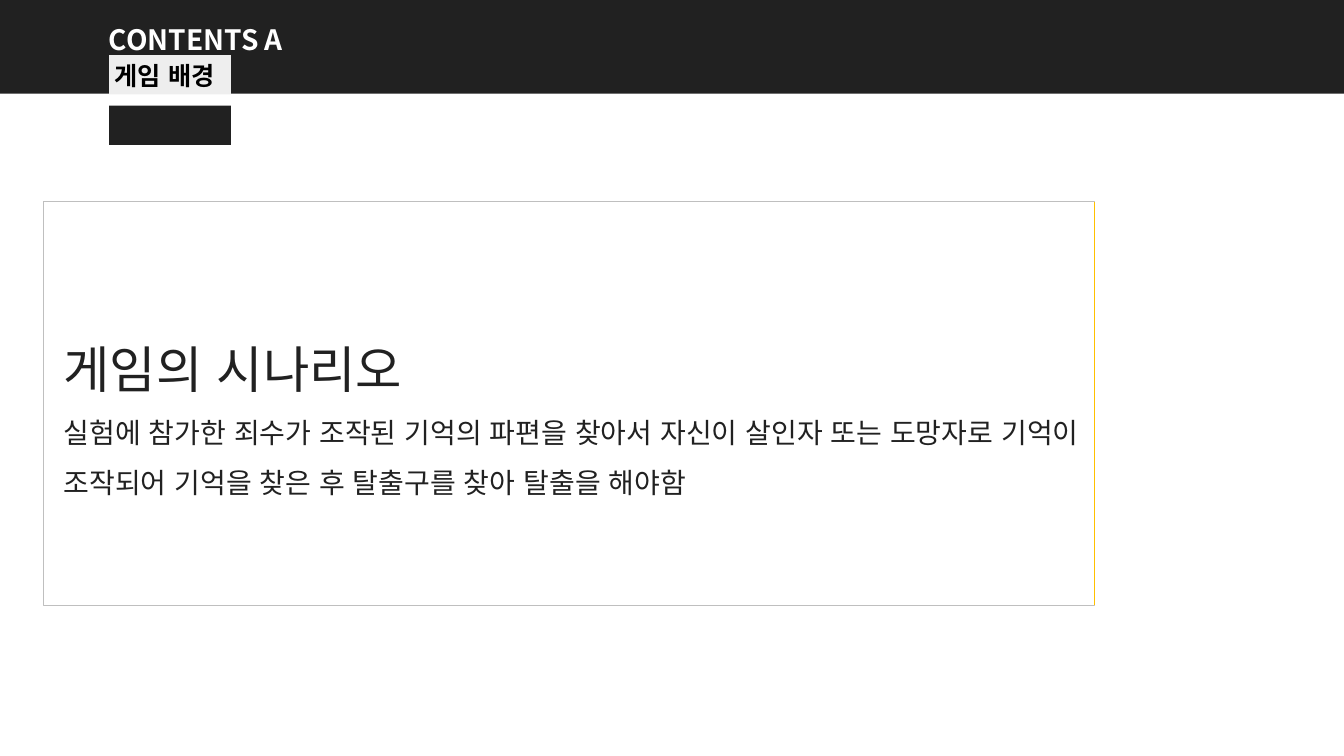
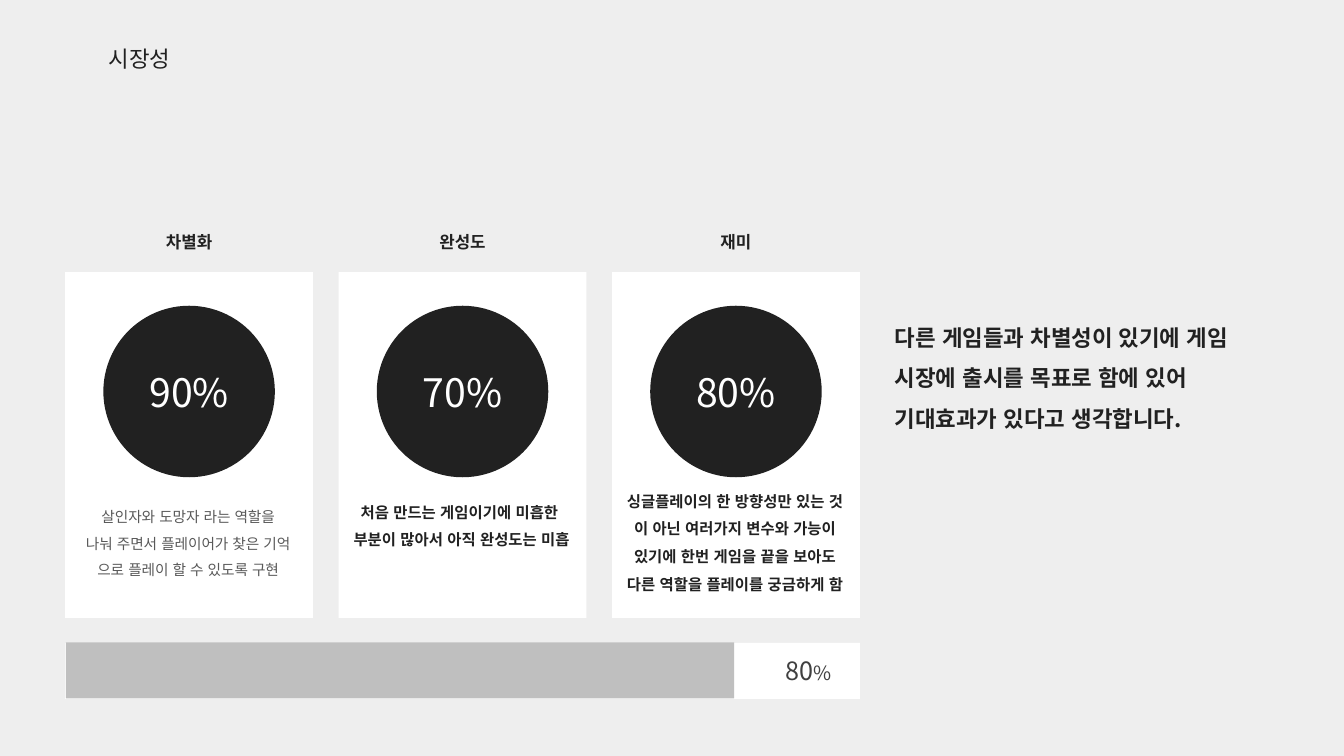
from lxml import etree
from pptx import Presentation
from pptx.dml import color
from pptx.enum import lang, shapes, text
from pptx.oxml import ns
from pptx.util import Pt

DARK, PALE, WHITE = "212121", "EEEEEE", "FFFFFF"
GREY, GOLD, INK, MUTED = "BFBFBF", "FFC000", "404040", "595959"
LEFT, CENTER, RIGHT = text.PP_ALIGN.LEFT, text.PP_ALIGN.CENTER, text.PP_ALIGN.RIGHT
TOP, MIDDLE = text.MSO_ANCHOR.TOP, text.MSO_ANCHOR.MIDDLE
RECT, OVAL = shapes.MSO_SHAPE.RECTANGLE, shapes.MSO_SHAPE.OVAL
TITLE_AND_BODY, TITLE_ONLY = 1, 5


def rgb(value):
    return color.RGBColor.from_string(value)


def assign(target, **values):
    for key, value in values.items():
        setattr(target, key, value)


class Deck:
    font = "Noto Sans CJK KR"
    insets = (7.2, 3.6, 7.2, 3.6)

    def __init__(self):
        self.file = Presentation()
        assign(self.file, slide_width=Pt(960), slide_height=Pt(540))
        self.slide = None

    def start(self, layout, background):
        self.slide = self.file.slides.add_slide(self.file.slide_layouts[layout])
        fill = self.slide.background.fill
        fill.solid()
        fill.fore_color.rgb = rgb(background)

    def place(self, item, box):
        left, top, width, height = map(Pt, box)
        assign(item, left=left, top=top, width=width, height=height)

    def paint(self, item, fill, line=None):
        item.fill.solid()
        item.fill.fore_color.rgb = rgb(fill)
        if line:
            item.line.color.rgb = rgb(line)
            item.line.width = Pt(1)
        else:
            item.line.fill.background()

    def typeset(self, item, paragraphs, size=11, ink=DARK, bold=False, align=LEFT,
                anchor=TOP, spacing=1.5, wrap=True, insets=insets):
        frame = item.text_frame
        left, top, right, bottom = map(Pt, insets)
        assign(frame, word_wrap=wrap, auto_size=text.MSO_AUTO_SIZE.NONE,
               vertical_anchor=anchor, margin_left=left, margin_top=top,
               margin_right=right, margin_bottom=bottom)
        for index, runs in enumerate(paragraphs):
            paragraph = frame.add_paragraph() if index else frame.paragraphs[0]
            assign(paragraph, alignment=align, line_spacing=spacing, space_before=Pt(0))
            for part in [runs] if isinstance(runs, str) else runs:
                words, points = (part, size) if isinstance(part, str) else part
                run = paragraph.add_run()
                run.text = words
                assign(run.font, size=Pt(points), bold=bold, name=self.font,
                       language_id=lang.MSO_LANGUAGE_ID.KOREAN)
                run.font.color.rgb = rgb(ink)
                asian = etree.SubElement(run.font._element, ns.qn("a:ea"))
                asian.set("typeface", self.font)

    def title(self, box, words, **style):
        heading = self.slide.shapes.title
        self.place(heading, box)
        self.typeset(heading, [words], **style)

    def body(self, box, paragraphs, fill, line, **style):
        panel = self.slide.placeholders[1]
        self.place(panel, box)
        self.paint(panel, fill, line)
        self.typeset(panel, paragraphs, **style)
        for paragraph in panel.text_frame.paragraphs:
            properties = paragraph._p.get_or_add_pPr()
            properties.set("marL", "0")
            properties.set("indent", "0")
            etree.SubElement(properties, ns.qn("a:buNone"))

    def shape(self, kind, box, fill, paragraphs=(), behind=False, **style):
        item = self.slide.shapes.add_shape(kind, *map(Pt, box))
        item.shadow.inherit = False
        self.paint(item, fill)
        if paragraphs:
            self.typeset(item, paragraphs, **style)
        if behind:
            self.slide.shapes._spTree.insert(2, item._element)

    def label(self, box, paragraphs, **style):
        self.typeset(self.slide.shapes.add_textbox(*map(Pt, box)), paragraphs, **style)

    def line(self, start, end, ink):
        edge = self.slide.shapes.add_connector(
            shapes.MSO_CONNECTOR.STRAIGHT, *map(Pt, start + end))
        edge.line.color.rgb = rgb(ink)
        edge.line.width = Pt(1)
        etree.SubElement(edge._element.spPr, ns.qn("a:effectLst"))


def build_background(deck):
    deck.start(TITLE_AND_BODY, WHITE)
    deck.shape(RECT, (0, 0, 960, 67), DARK, behind=True)
    deck.title((70.5, 0.5, 143, 44), "CONTENTS A",
               size=20, ink=WHITE, bold=True, wrap=False)
    deck.shape(RECT, (78, 39.5, 87, 28), PALE, ["게임 배경"], size=18, ink="000000",
               bold=True, spacing=1, anchor=MIDDLE, wrap=False,
               insets=(4, 3.6, 0, 2.4))
    deck.shape(RECT, (78, 75.5, 87, 28), DARK)
    left, top, width, height = scenario = (31, 144, 751, 288.5)
    deck.body(scenario, [
        [("게임의 시나리오", 36)],
        "실험에 참가한 죄수가 조작된 기억의 파편을 찾아서 자신이 살인자 또는 도망자로 "
        "기억이 조작되어 기억을 찾은 후 탈출구를 찾아 탈출을 해야함",
    ], WHITE, GREY, size=20, anchor=MIDDLE, insets=(14.4, 3.6, 7.2, 3.6))
    right = left + width
    deck.line((right, top), (right, top + height), GOLD)


def build_market(deck):
    deck.start(TITLE_ONLY, PALE)
    deck.title((70.5, 18.7, 380, 32.4), "시장성", size=16)
    strong = {"size": 11, "bold": True}
    cards = [
        ("차별화", "90%", 353, {"size": 10.5, "ink": MUTED},
         ["살인자와 도망자 라는 역할을", "나눠 주면서 플레이어가 찾은 기억",
          "으로 플레이 할 수 있도록 구현"]),
        ("완성도", "70%", 349, strong,
         ["처음 만드는 게임이기에 미흡한 ", "부분이 많아서 아직 완성도는 미흡"]),
        ("재미", "80%", 341, strong,
         ["싱글플레이의 한 방향성만 있는 것 이 아닌 여러가지 변수와 가능이 "
          "있기에 한번 게임을 끝을 보아도 다른 역할을 플레이를 궁금하게 함"]),
    ]
    first, step, width, circle = 46.6, 195.3, 177, 122.5
    for index, (heading, score, note_top, style, note) in enumerate(cards):
        left = first + index * step
        deck.label((left, 154.8, width, 28.8), [heading], size=12, bold=True, align=CENTER)
        deck.shape(RECT, (left, 194.4, width, 247), WHITE)
        deck.shape(OVAL, (left + (width - circle) / 2, 218.4, circle, circle), DARK,
                   [score], size=28, ink=WHITE, align=CENTER, anchor=MIDDLE, spacing=1)
        deck.label((left - 0.6, note_top, width, 90), note, align=CENTER, **style)
    deck.label((632, 218.4, 297, 94), [
        "다른 게임들과 차별성이 있기에 게임 시장에 출시를 목표로 함에 있어 "
        "기대효과가 있다고 생각합니다."], size=16, bold=True)
    deck.shape(RECT, (first, 459.2, 2 * step + width, 40), WHITE, [[("80", 18), ("%", 14)]],
               ink=INK, align=RIGHT, anchor=MIDDLE, spacing=1,
               insets=(7.2, 3.6, 20.2, 3.6))
    deck.shape(RECT, (first + 0.4, 458.8, 477.4, 40), GREY)


def main():
    deck = Deck()
    build_background(deck)
    build_market(deck)
    deck.file.save("out.pptx")


if __name__ == "__main__":
    main()
